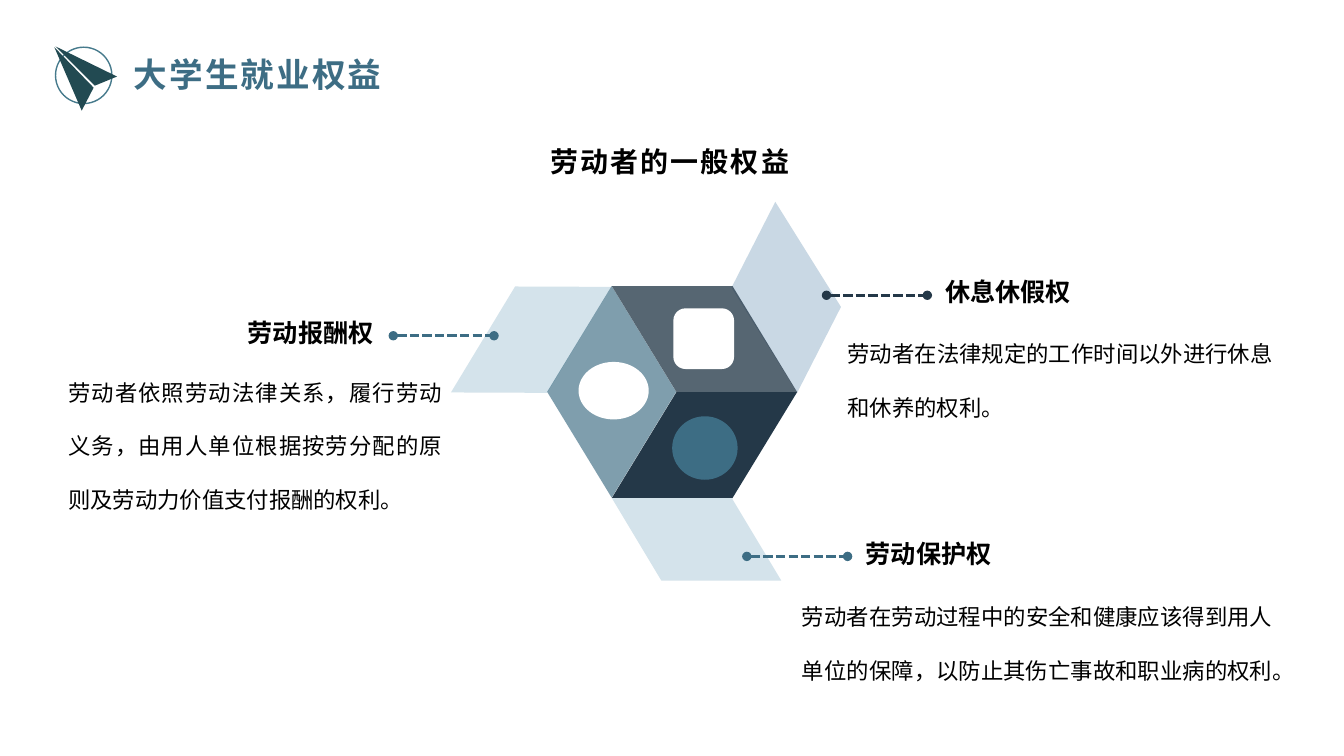
"""Build the slide on the general rights of workers."""
from dataclasses import dataclass

from lxml.etree import SubElement
from pptx import Presentation
from pptx.dml.color import RGBColor as Rgb
from pptx.enum.dml import MSO_LINE as Dash
from pptx.enum.shapes import MSO_CONNECTOR as Link, MSO_SHAPE as Kind
from pptx.enum.text import MSO_ANCHOR as Anchor, MSO_AUTO_SIZE as Auto, PP_ALIGN as Align
from pptx.oxml.ns import qn
from pptx.shapes.autoshape import Shape
from pptx.slide import Slide
from pptx.util import Cm, Pt

FONT = "Noto Sans CJK SC"
HUES = {
    "blue": "3D6D84", "navy": "243848", "pale": "D4E3EB", "mist": "C9D8E4",
    "ring": "467A8C", "plane": "224A52", "white": "FFFFFF", "black": "000000",
}
PLANE = (
    ((2.95, 1.93), (2.39, 2.16), (1.4, 1.17)),
    ((2.36, 2.21), (2.06, 2.79), (1.37, 1.19)),
)
Box = tuple[float, float, float, float]


@dataclass
class Tile:
    """A filled preset shape."""
    kind: Kind
    box: Box
    hue: str
    adj: float | None = None
    flip: bool = False
    turn: float = 0
    alpha: int = 100


@dataclass
class Label:
    """A text box with one paragraph."""
    text: str
    box: Box
    size: int
    bold: bool = False
    align: Align = Align.LEFT
    gap: float = 1
    wrap: bool = True
    inset: tuple[float, float] = (0.25, 0.13)
    anchor: Anchor = Anchor.TOP
    hue: str = "black"
    track: int = 0


@dataclass
class Lead:
    """A dashed line with round ends."""
    left: float
    top: float
    hue: str = "blue"


SKEW = Kind.PARALLELOGRAM
TILES = (
    Tile(SKEW, (11.2, 7.52, 4.37, 2.08), "pale", 0.6, True, 301.2),
    Tile(Kind.FLOWCHART_DECISION, (13.79, 7.21, 3.25, 5.33), "blue", alpha=66),
    Tile(SKEW, (17.63, 6.45, 4.37, 2.08), "mist", 0.6, True, 58),
    Tile(SKEW, (15.42, 7.21, 4.67, 2.67), "navy", 0.61, True, alpha=77),
    Tile(SKEW, (15.42, 9.88, 4.67, 2.67), "navy", 0.61),
    Tile(SKEW, (15.42, 12.55, 4.27, 2.08), "pale", 0.6, True),
    Tile(Kind.ROUNDED_RECTANGLE, (16.97, 7.77, 1.53, 1.53), "white", 0.2),
    Tile(Kind.OVAL, (14.58, 9.12, 1.77, 1.45), "white"),
    Tile(Kind.OVAL, (16.94, 10.49, 1.65, 1.6), "blue"),
)
LEADS = (Lead(18.82, 14.02), Lead(9.91, 8.46), Lead(20.83, 7.44, "navy"))
TITLE = Label("大学生就业权益", (3.12, 1.24, 16.94, 1.27), 24, True, hue="blue", track=150)


def head(text: str, left: float, top: float, align: Align = Align.LEFT) -> Label:
    """Describe the heading of one right."""
    return Label(text, (left, top, 6.83, 0.91), 18, True, align, wrap=False, inset=(0.2, 0))


def body(text: str, box: Box, **more) -> Label:
    """Describe the text below a heading."""
    return Label(text, box, 16, align=Align.JUSTIFY, gap=2, **more)


LABELS = (
    Label("劳动者的一般权益", (1.85, 2.67, 30.05, 1.96), 20, True, Align.CENTER, 2, track=150),
    head("休息休假权", 23.62, 6.96),
    body("劳动者在法律规定的工作时间以外进行休息和休养的权利。", (21.11, 7.77, 11.23, 3)),
    head("劳动保护权", 21.62, 13.56),
    body("劳动者在劳动过程中的安全和健康应该得到用人单位的保障，以防止其伤亡事故和职业病的权利。",
         (19.96, 14.4, 12.37, 3)),
    head("劳动报酬权", 2.79, 8, Align.RIGHT),
    body("劳动者依照劳动法律关系，履行劳动义务，由用人单位根据按劳分配的原则及劳动力价值支付报酬的权利。",
         (1.52, 7.42, 9.83, 6.96), inset=(0.2, 0), anchor=Anchor.MIDDLE),
)


def tint(hue: str) -> Rgb:
    """Look up a colour."""
    return Rgb.from_string(HUES[hue])


def paint(shape: Shape, hue: str) -> None:
    """Fill a shape and take away its line and shadow."""
    shape.shadow.inherit = False
    shape.fill.solid()
    shape.fill.fore_color.rgb = tint(hue)
    shape.line.fill.background()


def write(shape: Shape, label: Label) -> None:
    """Put the words of a label in a shape."""
    shape.left, shape.top, shape.width, shape.height = map(Cm, label.box)
    frame = shape.text_frame
    frame.auto_size = Auto.NONE
    frame.word_wrap = label.wrap
    frame.vertical_anchor = label.anchor
    side, edge = map(Cm, label.inset)
    frame.margin_left = frame.margin_right = side
    frame.margin_top = frame.margin_bottom = edge
    frame.text = label.text
    para = frame.paragraphs[0]
    para.alignment = label.align
    para.line_spacing = label.gap
    font = para.font
    font.name, font.size, font.bold = FONT, Pt(label.size), label.bold
    font.color.rgb = tint(label.hue)
    props = para._p.pPr.find(qn("a:defRPr"))
    props.set("spc", str(label.track))
    SubElement(props, qn("a:ea"), typeface=FONT)


def lay(slide: Slide, tile: Tile) -> None:
    """Draw a tile."""
    shape = slide.shapes.add_shape(tile.kind, *map(Cm, tile.box))
    paint(shape, tile.hue)
    shape.rotation = tile.turn
    if tile.adj is not None:
        shape.adjustments[0] = tile.adj
    if tile.flip:
        shape._element.spPr.xfrm.set("flipH", "1")
    if tile.alpha < 100:
        hue = shape._element.spPr.find(qn("a:solidFill"))[0]
        SubElement(hue, qn("a:alpha"), val=str(tile.alpha * 1000))


def link(slide: Slide, lead: Lead) -> None:
    """Draw a dashed line."""
    top = Cm(lead.top)
    wire = slide.shapes.add_connector(Link.STRAIGHT, Cm(lead.left), top, Cm(lead.left + 2.54), top)
    wire.line.color.rgb = tint(lead.hue)
    wire.line.width = Pt(2.25)
    wire.line.dash_style = Dash.SQUARE_DOT
    props = wire._element.spPr
    for end in ("a:headEnd", "a:tailEnd"):
        SubElement(props.find(qn("a:ln")), qn(end), type="oval")
    SubElement(props, qn("a:effectLst"))


def badge(slide: Slide) -> None:
    """Draw the paper plane in its ring."""
    ring = slide.shapes.add_shape(Kind.OVAL, Cm(1.4), Cm(1.19), Cm(1.42), Cm(1.42))
    ring.shadow.inherit = False
    ring.fill.background()
    ring.line.color.rgb = tint("ring")
    ring.line.width = Pt(1)
    wings = [[(Cm(x), Cm(y)) for x, y in wing] for wing in PLANE]
    pen = slide.shapes.build_freeform(*wings[0][0])
    pen.add_line_segments(wings[0][1:])
    pen.move_to(*wings[1][0])
    pen.add_line_segments(wings[1][1:])
    paint(pen.convert_to_shape(), "plane")


def main() -> None:
    """Build and save the deck."""
    deck = Presentation()
    deck.slide_width, deck.slide_height = Cm(33.87), Cm(19.05)
    slide = deck.slides.add_slide(deck.slide_layouts[5])
    write(slide.shapes.title, TITLE)
    badge(slide)
    for tile in TILES:
        lay(slide, tile)
    for lead in LEADS:
        link(slide, lead)
    for label in LABELS:
        write(slide.shapes.add_textbox(*map(Cm, label.box)), label)
    deck.save("out.pptx")


if __name__ == "__main__":
    main()
